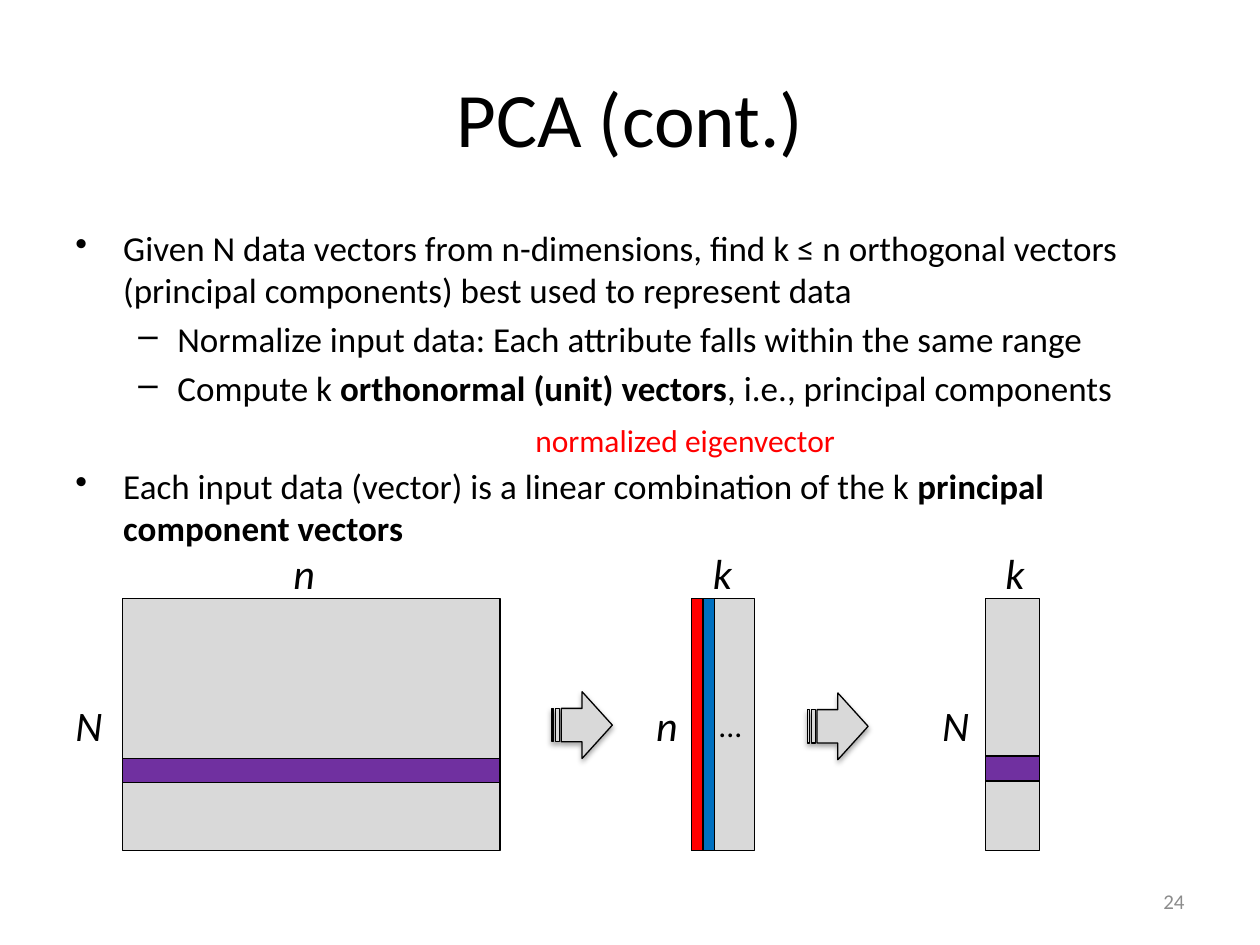
import dataclasses

import pptx
import pptx.dml.color
import pptx.enum.shapes
import pptx.enum.text
import pptx.oxml
import pptx.oxml.ns
import pptx.util

Pt = pptx.util.Pt
Inches = pptx.util.Inches
SHAPE = pptx.enum.shapes.MSO_SHAPE
ALIGN = pptx.enum.text.PP_ALIGN
ANCHOR = pptx.enum.text.MSO_ANCHOR
COLS, ROWS = 100, 75


@dataclasses.dataclass
class Theme:
    font: str = "Calibri"
    ink: str = "000000"
    muted: str = "8C8C8C"
    panel: str = "D9D9D9"
    red: str = "FF0000"
    blue: str = "0070C0"
    purple: str = "7030A0"
    title: int = 44
    symbol: int = 24
    body: int = 20
    note: int = 18
    footer: int = 12
    line: float = 0.75


def rgb(value):
    return pptx.dml.color.RGBColor.from_string(value)


class Deck:
    def __init__(self, theme):
        self.theme = theme
        self.prs = pptx.Presentation()
        self.prs.slide_width, self.prs.slide_height = Inches(10), Inches(7.5)
        self.s = self.prs.slides.add_slide(self.prs.slide_layouts[6])

    def box(self, col, row, cols, rows):
        dx, dy = self.prs.slide_width / COLS, self.prs.slide_height / ROWS
        return [round(v) for v in (col * dx, row * dy, cols * dx, rows * dy)]

    def run(self, p, text, size, color=None, **formats):
        r = p.add_run()
        r.text = text
        formats.update(name=self.theme.font, size=Pt(size))
        for key, value in formats.items():
            setattr(r.font, key, value)
        r.font.color.rgb = rgb(color or self.theme.ink)

    def text(self, at, text, size, color=None, align=ALIGN.LEFT,
             anchor=ANCHOR.TOP, wrap=True, **formats):
        tf = self.s.shapes.add_textbox(*self.box(*at)).text_frame
        tf.word_wrap, tf.vertical_anchor = wrap, anchor
        p = tf.paragraphs[0]
        p.alignment = align
        self.run(p, text, size, color, **formats)

    def symbol(self, col, row, cols, text):
        self.text((col, row, cols, 5), text, self.theme.symbol,
                  wrap=False, italic=True)

    def bullets(self, at, items):
        tf = self.s.shapes.add_textbox(*self.box(*at)).text_frame
        tf.word_wrap = True
        levels = (("•", 0.38, -0.38), ("–", 0.81, -0.31))
        for i, (level, before, runs) in enumerate(items):
            p = tf.add_paragraph() if i else tf.paragraphs[0]
            char, left, hang = levels[level]
            p.level, p.space_before = level, Pt(before)
            pPr = p._p.get_or_add_pPr()
            pPr.set("marL", str(Inches(left)))
            pPr.set("indent", str(Inches(hang)))
            bu = pptx.oxml.parse_xml(
                f'<a:buChar {pptx.oxml.ns.nsdecls("a")} char="{char}"/>')
            pPr.append(bu)
            for j, text in enumerate(runs):
                self.run(p, text, self.theme.body, bold=j % 2 == 1)

    def shape(self, at, fill, kind=SHAPE.RECTANGLE):
        sp = self.s.shapes.add_shape(kind, *self.box(*at))
        sp.shadow.inherit = False
        sp.fill.solid()
        sp.fill.fore_color.rgb = rgb(fill)
        sp.line.color.rgb = rgb(self.theme.ink)
        sp.line.width = Pt(self.theme.line)
        return sp

    def arrow(self, col, row):
        sp = self.shape((col, row, 4.8, 5.3), self.theme.panel,
                        SHAPE.STRIPED_RIGHT_ARROW)
        effects = sp.element.spPr.find(pptx.oxml.ns.qn("a:effectLst"))
        effects.append(pptx.oxml.parse_xml(
            f'<a:outerShdw {pptx.oxml.ns.nsdecls("a")} blurRad="{Pt(3.1)}" '
            f'dist="{Pt(1.8)}" dir="5400000" rotWithShape="0">'
            f'<a:srgbClr val="{self.theme.ink}"><a:alpha val="35000"/>'
            '</a:srgbClr></a:outerShdw>'))

    def matrix(self, col, cols):
        return self.shape((col, 47.5, cols, 20), self.theme.panel)


def main():
    t = Theme()
    d = Deck(t)
    d.text((5, 3, 90, 12.5), "PCA (cont.)", t.title,
           align=ALIGN.CENTER, anchor=ANCHOR.MIDDLE)
    d.bullets((5, 17.5, 90, 52), [
        (0, 0, ["Given N data vectors from n-dimensions, find k ≤ n orthogonal "
                "vectors (principal components) best used to represent data"]),
        (1, 4, ["Normalize input data: Each attribute falls within the same range"]),
        (1, 4, ["Compute k ", "orthonormal (unit) vectors",
                ", i.e., principal components"]),
        (0, 32, ["Each input data (vector) is a linear combination of the k ",
                 "principal component vectors"]),
    ])
    d.text((71.7, 69.5, 23.3, 4), "24", t.footer, t.muted,
           align=ALIGN.RIGHT, anchor=ANCHOR.MIDDLE)
    d.text((41.5, 32.9, 26.7, 4), "normalized eigenvector", t.note, t.red,
           wrap=False)

    d.matrix(9.7, 30)
    d.shape((9.7, 60.2, 30, 1.9), t.purple)

    tf = d.matrix(54.9, 5).text_frame
    tf.vertical_anchor = ANCHOR.MIDDLE
    p = tf.paragraphs[0]
    p.alignment = ALIGN.RIGHT
    d.run(p, "...", t.note)
    for i, color in enumerate((t.red, t.blue)):
        d.shape((54.9 + 0.9 * i, 47.5, 0.9, 20), color)

    d.matrix(78.2, 4.3)
    d.shape((78.2, 60, 4.3, 2), t.purple)

    for col, row in ((43.8, 54.9), (64.1, 55)):
        d.arrow(col, row)
    for col, cols, text in ((22.3, 3.8, "n"), (55.6, 3.5, "k"), (78.8, 3.5, "k")):
        d.symbol(col, 43, cols, text)
    for col, cols, text in ((5, 4.9, "N"), (51.1, 3.8, "n"), (73.8, 4.3, "N")):
        d.symbol(col, 55, cols, text)
    d.prs.save("out.pptx")


if __name__ == "__main__":
    main()
